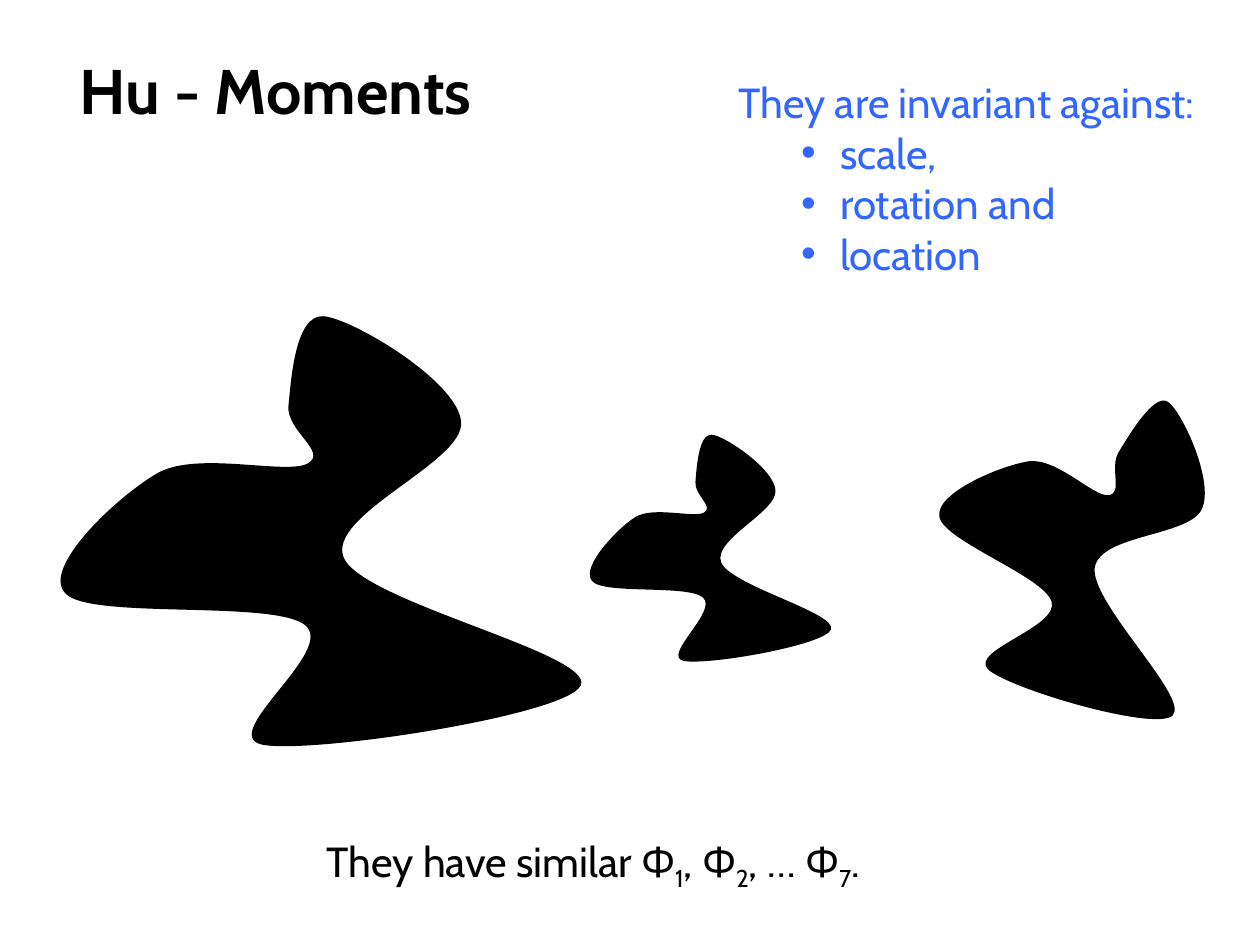
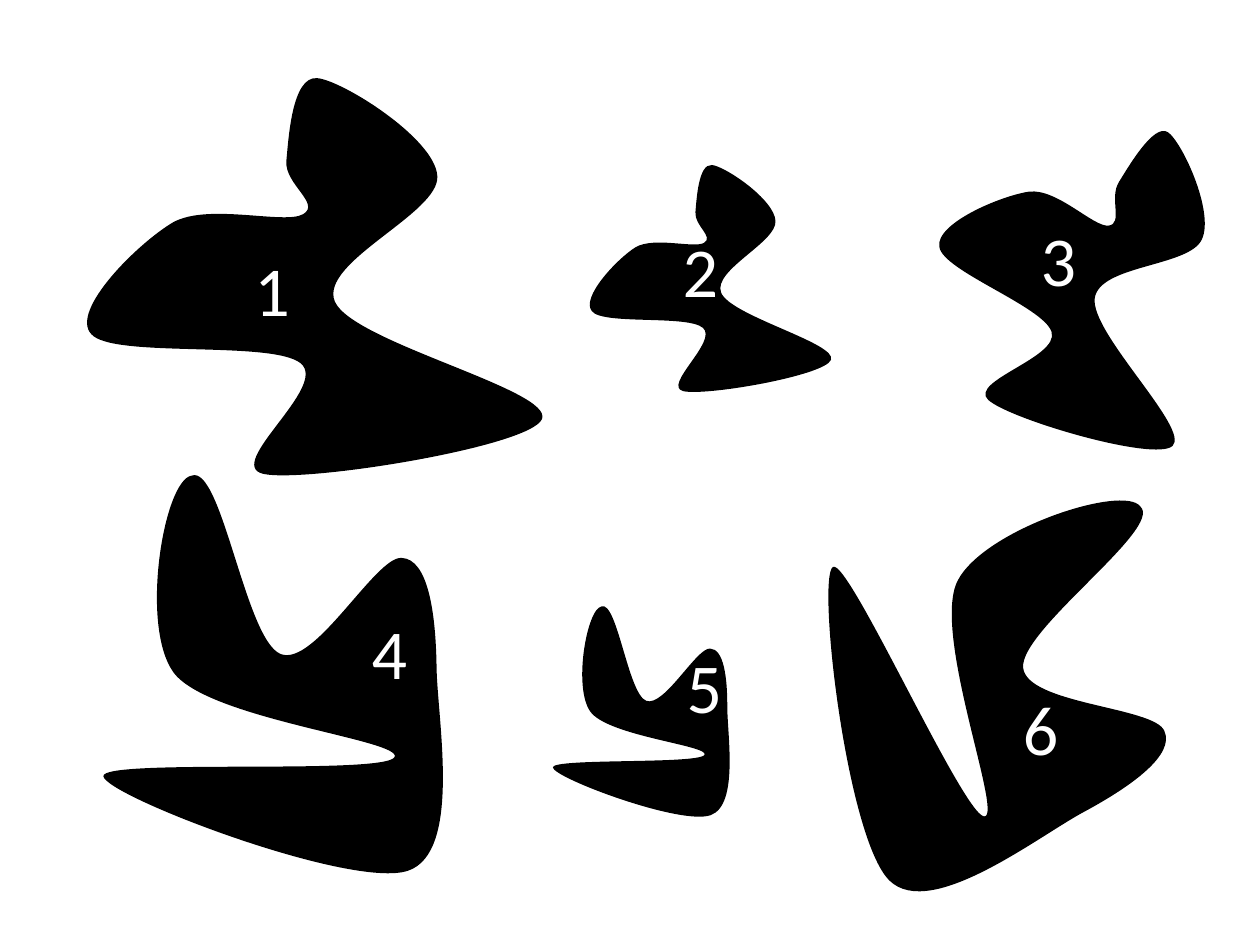
from lxml.etree import SubElement
from pptx import Presentation
from pptx.dml.color import RGBColor
from pptx.enum.shapes import MSO_SHAPE as Preset
from pptx.enum.text import MSO_ANCHOR as Anchor, MSO_AUTO_SIZE as Fit, PP_ALIGN as Align
from pptx.oxml.ns import qn
from pptx.util import Pt

PX = 9144
BLACK = RGBColor(0x00, 0x00, 0x00)
WHITE = RGBColor(0xFF, 0xFF, 0xFF)
BLUE = RGBColor(0x33, 0x66, 0xFF)
HEAD, BODY, DIGIT = ("Cabin", 36), ("Cabin", 24), ("Calibri", 40)
LINE = 40

BIRD = (414, 341), [
    (181, 71),
    (183, 52), (186, -2), (209, 0),
    (232, 2), (316, 52), (318, 84),
    (321, 116), (210, 158), (225, 192),
    (241, 227), (424, 268), (413, 293),
    (402, 317), (197, 348), (160, 340),
    (124, 332), (220, 265), (194, 245),
    (168, 225), (23, 241), (4, 220),
    (-16, 200), (46, 142), (78, 124),
    (110, 107), (179, 126), (196, 117),
    (213, 108), (179, 91), (181, 71),
]
CLAW = (310, 268), [
    (133, 114),
    (162, 111), (164, 10), (183, 2),
    (202, -7), (227, 28), (247, 65),
    (266, 101), (334, 187), (302, 220),
    (269, 254), (62, 278), (53, 265),
    (45, 253), (249, 162), (251, 145),
    (252, 129), (105, 187), (64, 166),
    (23, 145), (-13, 34), (5, 21),
    (22, 2), (103, 117), (133, 114),
]


def place(shape, box):
    """Set left, top, width and height in px."""
    shape.left, shape.top, shape.width, shape.height = [v * PX for v in box]


def add_points(node, knots):
    """Append points in EMU to a drawing command."""
    for x, y in knots:
        point = SubElement(node, qn("a:pt"))
        point.set("x", str(x * PX))
        point.set("y", str(y * PX))


def bend(blob, size, knots):
    """Turn the straight sides of a freeform into cubic curves."""
    route = next(blob.element.iter(qn("a:path")))
    for name, side in zip("wh", size):
        route.set(name, str(side * PX))
    for node in list(route):
        route.remove(node)
    add_points(SubElement(route, qn("a:moveTo")), knots[:1])
    for i in range(1, len(knots), 3):
        add_points(SubElement(route, qn("a:cubicBezTo")), knots[i:i + 3])
    SubElement(route, qn("a:close"))


def add_blob(slide, form, box, turn=0):
    """Draw a black closed outline, fitted to a box and turned."""
    size, knots = form
    pen = slide.shapes.build_freeform(*knots[0], scale=PX)
    pen.add_line_segments(knots[3::3], close=True)
    blob = pen.convert_to_shape()
    bend(blob, size, knots)
    place(blob, box)
    blob.rotation = turn
    blob.shadow.inherit = False
    blob.fill.solid()
    blob.fill.fore_color.rgb = BLACK
    blob.line.fill.background()


def set_frame(shape, drop=0):
    """Prepare a text frame whose text starts some px below its top."""
    frame = shape.text_frame
    frame.word_wrap = True
    frame.auto_size = Fit.NONE
    frame.vertical_anchor = Anchor.TOP
    frame.margin_left = frame.margin_right = 10 * PX
    frame.margin_top = (5 + drop) * PX
    frame.margin_bottom = 5 * PX
    return frame


def add_run(para, text, style, color, bold=False, sub=False):
    """Add one run of text, as a subscript if asked."""
    para.alignment = Align.LEFT
    run = para.add_run()
    run.text = text
    font = run.font
    font.name, size = style
    font.size = Pt(size)
    font.color.rgb = color
    font.bold = bold
    if sub:
        run._r.get_or_add_rPr().set("baseline", "-25000")


def set_bullet(para):
    """Give a paragraph a hanging round bullet."""
    para.level = 1
    props = para._p.get_or_add_pPr()
    props.set("marL", str(81 * PX))
    props.set("indent", str(-31 * PX))
    SubElement(props, qn("a:buFont")).set("typeface", "Arial")
    SubElement(props, qn("a:buChar")).set("char", "•")


def add_title(slide, text, box):
    """Fill the title placeholder."""
    title = slide.shapes.title
    place(title, box)
    add_run(set_frame(title).paragraphs[0], text, HEAD, BLACK, bold=True)


def add_note(slide, box):
    """Add the line on the moments, with subscript numbers."""
    note = slide.shapes.add_shape(Preset.RECTANGLE, 0, 0, 0, 0)
    place(note, box)
    note.shadow.inherit = False
    note.fill.solid()
    note.fill.fore_color.rgb = WHITE
    note.line.fill.background()
    para = set_frame(note, LINE).paragraphs[0]
    for text, index in (("They have similar Φ", "1"), (", Φ", "2"), (", … Φ", "7")):
        add_run(para, text, BODY, BLACK)
        add_run(para, index, BODY, BLACK, sub=True)
    add_run(para, ".", BODY, BLACK)


def add_list(slide, lead, items, box):
    """Add a lead line with bulleted items below."""
    frame = set_frame(slide.shapes.add_textbox(*[v * PX for v in box]), LINE)
    add_run(frame.paragraphs[0], lead, BODY, BLUE)
    for item in items:
        para = frame.add_paragraph()
        set_bullet(para)
        add_run(para, item, BODY, BLUE)


def add_digit(slide, number, left, top):
    """Add a white number on a blob."""
    box = slide.shapes.add_textbox(left * PX, top * PX, 49 * PX, 77 * PX)
    add_run(set_frame(box).paragraphs[0], str(number), DIGIT, WHITE)


def add_pair(slide, top):
    """Draw the small bird and the turned one at a given top."""
    add_blob(slide, BIRD, (468, top, 192, 180))
    add_blob(slide, BIRD, (747, top - 41, 240, 255), 27.5)


def fill_first(slide):
    """Build the slide on invariance."""
    add_title(slide, "Hu - Moments", (53, 36, 344, 71))
    add_blob(slide, BIRD, (48, 251, 414, 341))
    add_pair(slide, 345)
    add_note(slide, (249, 618, 518, 91))
    add_list(slide, "They are invariant against:",
             ("scale,", "rotation and", "location"), (576, 16, 426, 252))


def fill_second(slide):
    """Build the slide with six numbered blobs."""
    add_blob(slide, CLAW, (78, 413, 310, 268), 27.5)
    add_blob(slide, CLAW, (438, 499, 160, 144), 27.5)
    add_blob(slide, CLAW, (637, 418, 310, 268), 90)
    add_pair(slide, 131)
    add_blob(slide, BIRD, (69, 62, 362, 315))
    spots = ((192, 191), (532, 176), (816, 167), (285, 479), (535, 506), (802, 539))
    for number, spot in enumerate(spots, 1):
        add_digit(slide, number, *spot)


def main():
    """Build and save both slides."""
    deck = Presentation()
    deck.slide_width, deck.slide_height = 1000 * PX, 750 * PX
    fill_first(deck.slides.add_slide(deck.slide_layouts[5]))
    fill_second(deck.slides.add_slide(deck.slide_layouts[6]))
    deck.save("out.pptx")


if __name__ == "__main__":
    main()
